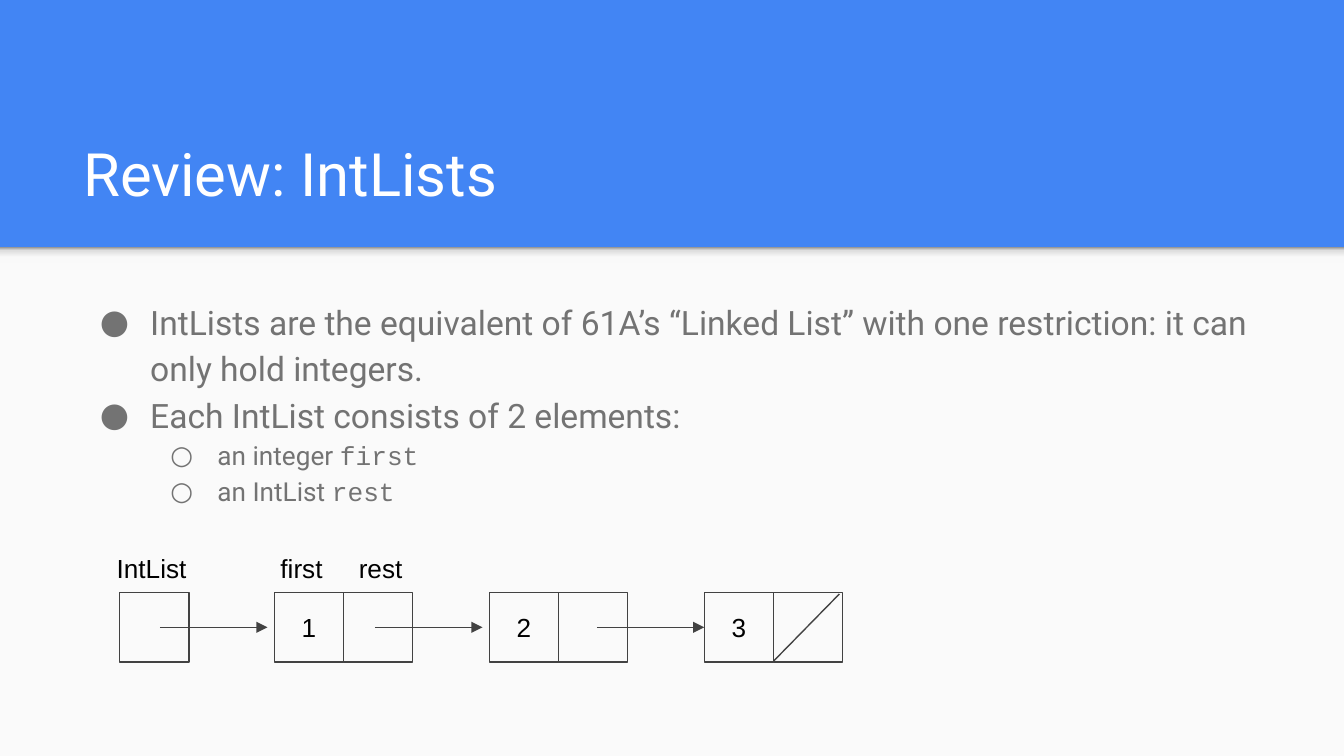
"""Build the slide that reviews IntLists with a box-and-pointer diagram."""
import copy
import dataclasses
import typing

import pptx
import pptx.dml.color
import pptx.enum.shapes
import pptx.enum.text
import pptx.oxml
import pptx.oxml.ns
import pptx.util

Pt = pptx.util.Pt
RGB = pptx.dml.color.RGBColor.from_string
ALIGN = pptx.enum.text.PP_ALIGN
ANCHOR = pptx.enum.text.MSO_ANCHOR
RECT = pptx.enum.shapes.MSO_SHAPE.RECTANGLE
STRAIGHT = pptx.enum.shapes.MSO_CONNECTOR.STRAIGHT


@dataclasses.dataclass(frozen=True)
class Theme:
    blue: str = "4285F4"
    panel: str = "FAFAFA"
    white: str = "FFFFFF"
    gray: str = "737373"
    black: str = "000000"
    line: str = "424242"
    fade: tuple = ((0, "F9F9F9"), (0.36, "F9F9F9"), (0.8, "DEDEDE"), (1, "999999"))
    head: str = "Roboto"
    code: str = "Courier New"
    plain: str = "Arial"
    title: float = 32
    large: float = 18
    small: float = 14
    stroke: float = 0.75


@dataclasses.dataclass(frozen=True)
class Point:
    text: str
    code: str = ""
    level: int = 0


class Bullet(typing.NamedTuple):
    mark: str
    size: float
    left: float
    hang: float


class Node(typing.NamedTuple):
    value: str
    start: float


THEME = Theme()
WIDTH, HEIGHT = 720, 405
EDGE = 132.5
CELL, TOP = 37.1, 317.5
MID = TOP + CELL / 2
FIRST, PITCH, REACH = 146.9, 115.2, 57.6
BULLETS = (Bullet("●", THEME.large, 36, -27), Bullet("○", THEME.small, 72, -25.2))
POINTS = (
    Point("IntLists are the equivalent of 61A’s “Linked List” with one restriction: it can only hold integers."),
    Point("Each IntList consists of 2 elements:"),
    Point("an integer ", "first", 1),
    Point("an IntList ", "rest", 1),
)
NODES = (Node("1", 85.7), Node("2", 200.9), Node("3", 319.7))
TABS = (87.8, 129.7)


def apply(item: typing.Any, values: dict) -> None:
    for name, value in values.items():
        setattr(item, name, value)


def place(item: typing.Any, left: float, top: float, width: float, height: float) -> None:
    apply(item, {"left": Pt(left), "top": Pt(top), "width": Pt(width), "height": Pt(height)})


def frame(item: typing.Any, anchor: typing.Any) -> typing.Any:
    text = item.text_frame
    sides = ("margin_left", "margin_top", "margin_right", "margin_bottom")
    apply(text, dict.fromkeys(sides, Pt(7.2)))
    apply(text, {"word_wrap": True, "vertical_anchor": anchor,
                 "auto_size": pptx.enum.text.MSO_AUTO_SIZE.NONE})
    return text


def write(para: typing.Any, text: str, face: str, size: float, color: str) -> None:
    run = para.add_run()
    run.text = text
    apply(run.font, {"name": face, "size": Pt(size)})
    run.font.color.rgb = RGB(color)


def child(parent: typing.Any, tag: str, **values: str) -> typing.Any:
    node = pptx.oxml.ns.qn(tag)
    part = parent.makeelement(node, values)
    parent.append(part)
    return part


def rect(shapes: typing.Any, left: float, top: float, width: float, height: float) -> typing.Any:
    item = shapes.add_shape(RECT, Pt(left), Pt(top), Pt(width), Pt(height))
    item.shadow.inherit = False
    return item


def box(shapes: typing.Any, left: float, value: str = "") -> typing.Any:
    item = rect(shapes, left, TOP, CELL, CELL)
    item.fill.background()
    item.line.color.rgb = RGB(THEME.line)
    item.line.width = Pt(THEME.stroke)
    if value:
        para = frame(item, ANCHOR.MIDDLE).paragraphs[0]
        para.alignment = ALIGN.CENTER
        write(para, value, THEME.plain, THEME.small, THEME.black)
    return item


def stroke(shapes: typing.Any, x1: float, y1: float, x2: float, y2: float, arrow: bool) -> typing.Any:
    item = shapes.add_connector(STRAIGHT, Pt(x1), Pt(y1), Pt(x2), Pt(y2))
    item.line.color.rgb = RGB(THEME.line)
    item.line.width = Pt(THEME.stroke)
    if arrow:
        child(item.line._get_or_add_ln(), "a:tailEnd", type="triangle")
    child(item._element.spPr, "a:effectLst")
    return item


def ground(slide: typing.Any) -> None:
    fill = slide.background.fill
    fill.solid()
    fill.fore_color.rgb = RGB(THEME.blue)
    panel = rect(slide.shapes, 0, EDGE, WIDTH, HEIGHT - EDGE)
    panel.fill.solid()
    panel.fill.fore_color.rgb = RGB(THEME.panel)
    shade = rect(slide.shapes, 0, EDGE, WIDTH, 8.6)
    shade.fill.gradient()
    shade.fill.gradient_angle = 90
    stops = shade._element.spPr.find(".//" + pptx.oxml.ns.qn("a:gsLst"))
    while len(stops) < len(THEME.fade):
        stops.append(copy.deepcopy(stops[0]))
    for stop, (spot, color) in zip(shade.fill.gradient_stops, THEME.fade):
        stop.position = spot
        stop.color.rgb = RGB(color)
    for item in (panel, shade):
        item.line.fill.background()


def title(slide: typing.Any) -> None:
    item = slide.shapes.title
    place(item, 37.4, 58.3, 647.3, 60.5)
    para = frame(item, ANCHOR.BOTTOM).paragraphs[0]
    para.alignment = ALIGN.LEFT
    write(para, "Review: IntLists", THEME.head, THEME.title, THEME.white)


def body(shapes: typing.Any) -> None:
    item = shapes.add_textbox(Pt(37.4), Pt(151.2), Pt(647.3), Pt(137.5))
    text = frame(item, ANCHOR.TOP)
    for rank, point in enumerate(POINTS):
        para = text.add_paragraph() if rank else text.paragraphs[0]
        look = BULLETS[point.level]
        apply(para, {"level": point.level, "line_spacing": 1.15})
        props = para._p.get_or_add_pPr()
        props.set("marL", str(Pt(look.left)))
        props.set("indent", str(Pt(look.hang)))
        child(child(props, "a:buClr"), "a:srgbClr", val=THEME.gray)
        child(props, "a:buFont", typeface=THEME.head)
        child(props, "a:buChar", char=look.mark)
        write(para, point.text, THEME.head, look.size, THEME.gray)
        if point.code:
            write(para, point.code, THEME.code, look.size, THEME.gray)


def labels(shapes: typing.Any) -> None:
    item = shapes.add_textbox(Pt(55.4), Pt(288.7), Pt(395.3), Pt(21.6))
    para = frame(item, ANCHOR.TOP).paragraphs[0]
    tabs = child(para._p.get_or_add_pPr(), "a:tabLst")
    for tab in TABS:
        child(tabs, "a:tab", pos=str(Pt(tab)), algn="l")
    write(para, "IntList\tfirst\trest", THEME.plain, THEME.small, THEME.black)


def chain(shapes: typing.Any) -> None:
    box(shapes, 64.1)
    for rank, node in enumerate(NODES):
        left = FIRST + rank * PITCH
        cell = box(shapes, left, node.value)
        box(shapes, left + CELL)
        arrow = stroke(shapes, node.start, MID, node.start + REACH, MID, True)
        if abs(node.start + REACH - left) < 1:
            arrow.end_connect(cell, 1)
    end = FIRST + 2 * PITCH + CELL
    stroke(shapes, end + 35.3, TOP + 0.7, end, TOP + 36.7, False)


def main() -> None:
    deck = pptx.Presentation()
    apply(deck, {"slide_width": Pt(WIDTH), "slide_height": Pt(HEIGHT)})
    slide = deck.slides.add_slide(deck.slide_layouts[5])
    ground(slide)
    title(slide)
    body(slide.shapes)
    labels(slide.shapes)
    chain(slide.shapes)
    deck.save("out.pptx")


if __name__ == "__main__":
    main()
